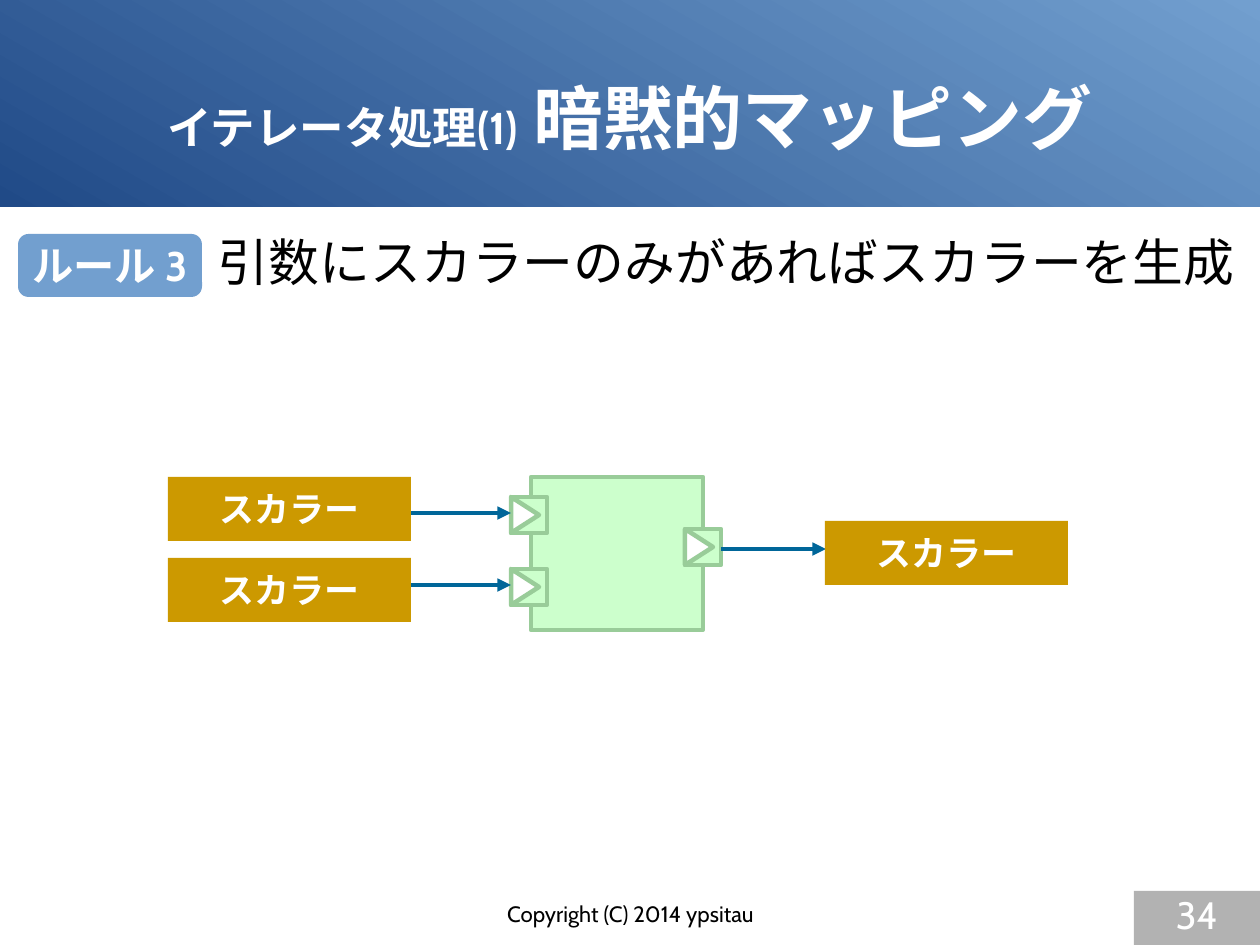
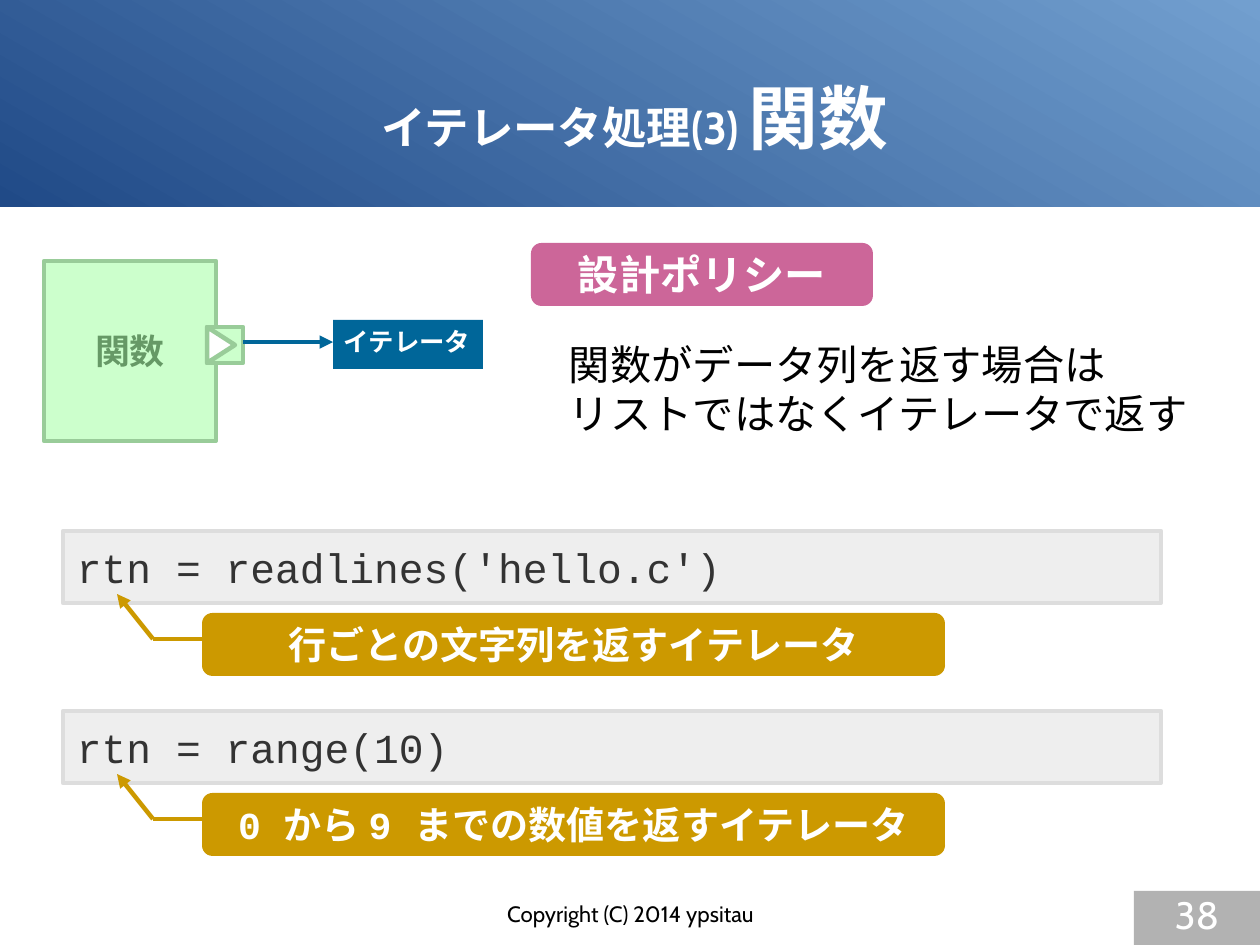
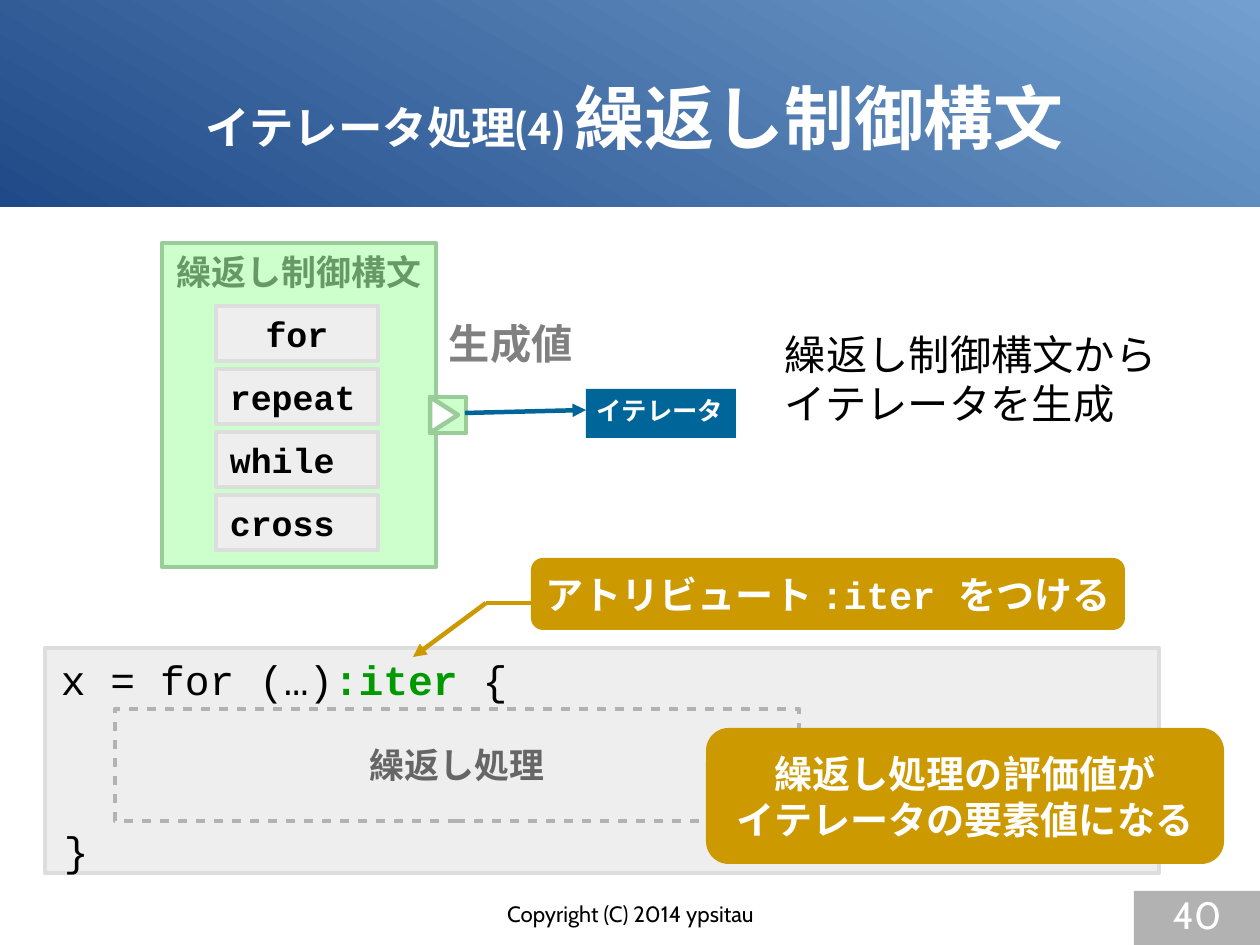
from dataclasses import dataclass
from itertools import pairwise

from lxml.etree import SubElement
from pptx import Presentation
from pptx.dml.color import RGBColor
from pptx.enum.shapes import MSO_CONNECTOR as Connector, MSO_SHAPE as Shape
from pptx.enum.text import MSO_ANCHOR as Anchor, MSO_AUTO_SIZE as AutoSize, PP_ALIGN as Align
from pptx.oxml.ns import qn
from pptx.util import Emu, Pt

ITERATOR = "イテレータ"
SCALAR = "スカラー"
CODE_STEP = 180
KEYWORD_STEP = 63
PORT = 36
ARROWHEAD_HEIGHT = 28

CODE_SAMPLES = [
    ("rtn = readlines('hello.c')", "行ごとの文字列を返すイテレータ"),
    ("rtn = range(10)", "0 から 9 までの数値を返すイテレータ"),
]
KEYWORDS = ["for", "repeat", "while", "cross"]

SCALAR_SLIDE = [
    ("node", (531, 477, 172, 153), ""),
    ("port", (511, 497)),
    ("port", (511, 569)),
    ("port", (685, 529)),
    ("lead", (207, 225, 1040, 88), "引数にスカラーのみがあればスカラーを生成"),
    ("flow", [(406, 513), (511, 513)]),
    ("flow", [(406, 585), (511, 585)]),
    ("flow", [(721, 549), (826, 549)]),
    ("scalar", (168, 477, 243, 64), SCALAR),
    ("scalar", (168, 558, 243, 64), SCALAR),
    ("scalar", (825, 521, 243, 64), SCALAR),
    ("rule", (18, 234, 184, 63), "ルール 3"),
]

FUNCTION_SLIDE = [
    ("iterator", (333, 320, 150, 49), ITERATOR),
    ("node", (44, 261, 172, 180), "関数"),
    ("port", (207, 327)),
    ("flow", [(243, 342), (333, 342)]),
    ("body", (558, 333, 655, 135), "関数がデータ列を返す場合は\nリストではなくイテレータで返す"),
    ("policy", (531, 243, 342, 63), "設計ポリシー"),
]
for i, (code, result) in enumerate(CODE_SAMPLES):
    dy = i * CODE_STEP
    FUNCTION_SLIDE += [
        ("code", (63, 531 + dy, 1098, 72), code),
        ("callout", (202, 613 + dy, 743, 63), result),
        ("leader", [(202, 639 + dy), (153, 639 + dy), (117, 594 + dy)]),
    ]

LOOP_SLIDE = [
    ("body", (774, 323, 394, 135), "繰返し制御構文から\nイテレータを生成"),
    ("iterator", (586, 389, 150, 49), ITERATOR),
    ("node_top", (162, 243, 274, 324), "繰返し制御構文"),
    ("port", (430, 397)),
    ("flow", [(465, 413), (586, 410)]),
    ("result", (438, 312, 146, 73), "生成値"),
    ("code", (45, 648, 1114, 225), ""),
    ("block", (115, 709, 684, 112), "繰返し処理"),
    ("source", (50, 648, 469, 58), [("x = for (…)", False), (":iter", True), (" {", False)]),
    ("source", (53, 819, 45, 72), "}"),
    ("callout", (706, 728, 518, 136), "繰返し処理の評価値が\nイテレータの要素値になる"),
    ("callout", (531, 558, 594, 72), "アトリビュート :iter をつける"),
    ("leader", [(535, 603), (486, 603), (413, 657)]),
]
for i, word in enumerate(KEYWORDS):
    kind = "keyword" if i else "keyword_first"
    LOOP_SLIDE.append((kind, (216, 306 + i * KEYWORD_STEP, 162, 55), word))

SLIDES = [
    (("イテレータ処理(1)", " 暗黙的マッピング"), (63, 38, 1134, 158), "34", SCALAR_SLIDE),
    (("イテレータ処理(3) ", "関数"), (50, 38, 1170, 158), "38", FUNCTION_SLIDE),
    (("イテレータ処理(4) ", "繰返し制御構文"), (50, 38, 1170, 158), "40", LOOP_SLIDE),
]
COPYRIGHT = "Copyright (C) 2014 ypsitau"


@dataclass(frozen=True)
class Theme:
    sans: str = "Cabin"
    mono: str = "Courier New"
    white: str = "FFFFFF"
    black: str = "000000"
    navy: str = "204A87"
    sky: str = "729FCF"
    teal: str = "006699"
    gold: str = "CC9900"
    pink: str = "CC6699"
    mint: str = "CCFFCC"
    leaf: str = "99CC99"
    moss: str = "669966"
    green: str = "009900"
    paper: str = "EEEEEE"
    edge: str = "DDDDDD"
    silver: str = "B2B2B2"
    gray: str = "808080"
    dim: str = "666666"
    ink: str = "333333"
    stroke: float = 2.83
    title_small: int = 28
    title_large: int = 44


T = Theme()


@dataclass(frozen=True)
class Style:
    size: int = 26
    color: str = T.white
    font: str = T.sans
    bold: bool = True
    shape: Shape | None = Shape.RECTANGLE
    fill: str | None = None
    line: str | None = None
    dashed: bool = False
    align: Align = Align.CENTER
    anchor: Anchor = Anchor.MIDDLE
    wrap: bool = False
    inset: tuple = (11, 6)


def plain(size=26, **kw):
    return Style(**{**dict(size=size, color=T.black, bold=False, shape=None,
                           align=Align.LEFT, anchor=Anchor.TOP), **kw})


def label(fill, **kw):
    return Style(shape=Shape.ROUNDED_RECTANGLE, fill=fill, **kw)


def framed(fill, line, **kw):
    return Style(fill=fill, line=line, inset=(14, 8), **kw)


STYLES = {
    "node": framed(T.mint, T.leaf, size=22, color=T.moss),
    "node_top": framed(T.mint, T.leaf, size=22, color=T.moss, anchor=Anchor.TOP),
    "arrowhead": framed(T.white, T.leaf),
    "scalar": Style(size=22, font=T.mono, fill=T.gold),
    "iterator": Style(size=16, font=T.mono, fill=T.teal, align=Align.LEFT, anchor=Anchor.TOP),
    "rule": label(T.sky),
    "policy": label(T.pink),
    "callout": label(T.gold, size=24, font=T.mono),
    "code": framed(T.paper, T.edge, font=T.mono, color=T.ink, bold=False,
                   align=Align.LEFT, wrap=True),
    "keyword_first": framed(T.paper, T.edge, size=22, font=T.mono, color=T.black),
    "keyword": framed(T.paper, T.edge, size=22, font=T.mono, color=T.black,
                      align=Align.LEFT, wrap=True),
    "block": framed(None, T.silver, size=22, color=T.dim, dashed=True, wrap=True),
    "lead": plain(32),
    "body": plain(),
    "result": plain(color=T.gray, bold=True),
    "source": plain(font=T.mono),
    "footer": plain(14, align=Align.CENTER, wrap=True, inset=(0, 0)),
    "page": Style(size=24, fill=T.silver, bold=False, anchor=Anchor.TOP, wrap=True, inset=(0, 0)),
}
LINES = {"flow": T.teal, "leader": T.gold}


def px(n):
    return Emu(n * 8000)


def rgb(color):
    return RGBColor.from_string(color)


def set_font(font, size, color, name, bold):
    font.size, font.name, font.bold = Pt(size), name, bold
    font.color.rgb = rgb(color)


def paint(s, style):
    s.shadow.inherit = False
    if style.fill:
        s.fill.solid()
        s.fill.fore_color.rgb = rgb(style.fill)
    else:
        s.fill.background()
    if not style.line:
        s.line.fill.background()
        return
    s.line.color.rgb = rgb(style.line)
    s.line.width = Pt(T.stroke)
    if style.dashed:
        dash = SubElement(s.line._get_or_add_ln(), qn("a:custDash"))
        SubElement(dash, qn("a:ds"), d="200000", sp="200000")


def add_box(shapes, kind, at, text):
    style = STYLES[kind]
    box = [px(n) for n in at]
    if style.shape is None:
        s = shapes.add_textbox(*box)
    else:
        s = shapes.add_shape(style.shape, *box)
        paint(s, style)
    if not text:
        return
    tf = s.text_frame
    tf.word_wrap, tf.vertical_anchor = style.wrap, style.anchor
    tf.margin_left = tf.margin_right = px(style.inset[0])
    tf.margin_top = tf.margin_bottom = px(style.inset[1])
    paragraphs = [[(t, False)] for t in text.split("\n")] if isinstance(text, str) else [text]
    for i, runs in enumerate(paragraphs):
        p = tf.add_paragraph() if i else tf.paragraphs[0]
        p.alignment = style.align
        set_font(p.font, style.size, style.color, style.font, style.bold)
        for t, strong in runs:
            r = p.add_run()
            r.text = t
            if strong:
                r.font.bold = True
                r.font.color.rgb = rgb(T.green)


def add_port(shapes, x, y):
    group = shapes.add_group_shape().shapes
    add_box(group, "node", (x, y, PORT, PORT), "")
    shift = (PORT - ARROWHEAD_HEIGHT) // 2
    s = group.add_shape(Shape.ISOSCELES_TRIANGLE, px(x - shift), px(y + shift),
                        px(PORT), px(ARROWHEAD_HEIGHT))
    s.rotation = 90
    paint(s, STYLES["arrowhead"])


def add_arrow(shapes, points, color):
    for start, end in pairwise(points):
        s = shapes.add_connector(Connector.STRAIGHT, *(px(n) for n in start + end))
        s.line.color.rgb = rgb(color)
        s.line.width = Pt(T.stroke)
        if end == points[-1]:
            SubElement(s.line._get_or_add_ln(), qn("a:tailEnd"), type="triangle")
        SubElement(s.element.spPr, qn("a:effectLst"))


def add_band(layout, slide):
    s = slide.shapes.add_shape(Shape.RECTANGLE, 0, 0, px(1260), px(207))
    s.shadow.inherit = False
    s.line.fill.background()
    s.fill.gradient()
    s.fill.gradient_angle = 60
    for stop, color, position in zip(s.fill.gradient_stops, (T.navy, T.sky), (0, 1)):
        stop.color.rgb = rgb(color)
        stop.position = position
    layout.shapes.element.insert(2, s.element)


def set_title(s, parts, at):
    s.left, s.top, s.width, s.height = (px(n) for n in at)
    tf = s.text_frame
    tf.auto_size, tf.vertical_anchor = AutoSize.NONE, Anchor.MIDDLE
    tf.margin_left = tf.margin_right = tf.margin_top = tf.margin_bottom = 0
    p = tf.paragraphs[0]
    p.alignment = Align.CENTER
    set_font(p.font, T.title_large, T.white, T.sans, True)
    for text, size in zip(parts, (T.title_small, T.title_large)):
        r = p.add_run()
        r.text = text
        r.font.size = Pt(size)


def main():
    prs = Presentation()
    prs.slide_width, prs.slide_height = px(1260), px(945)
    layout = prs.slide_layouts[5]
    for number, (title, title_at, page, items) in enumerate(SLIDES):
        slide = prs.slides.add_slide(layout)
        if number == 0:
            add_band(layout, slide)
        shapes = slide.shapes
        set_title(shapes.title, title, title_at)
        for kind, at, *text in items:
            if kind == "port":
                add_port(shapes, *at)
            elif kind in LINES:
                add_arrow(shapes, at, LINES[kind])
            else:
                add_box(shapes, kind, at, *text)
        add_box(shapes, "footer", (431, 900, 399, 47), COPYRIGHT)
        add_box(shapes, "page", (1134, 891, 126, 54), page)
    prs.save("out.pptx")


if __name__ == "__main__":
    main()
